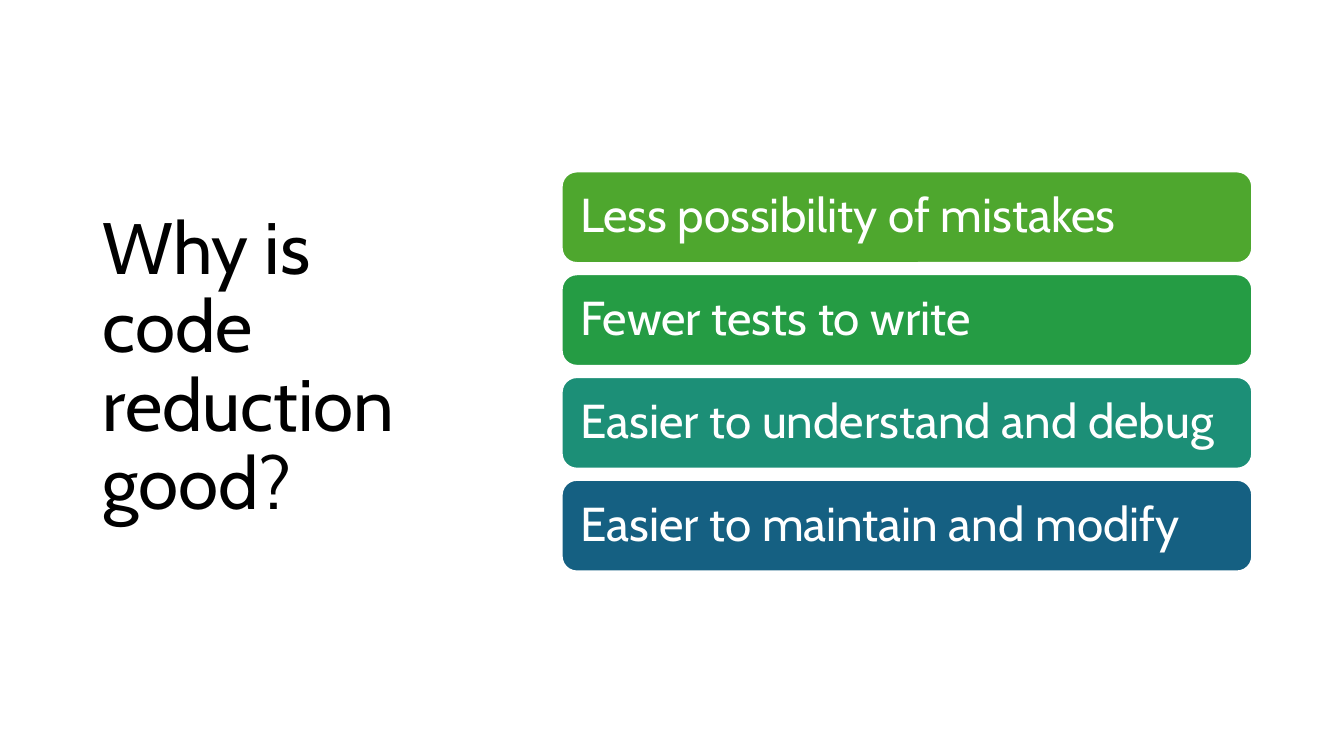
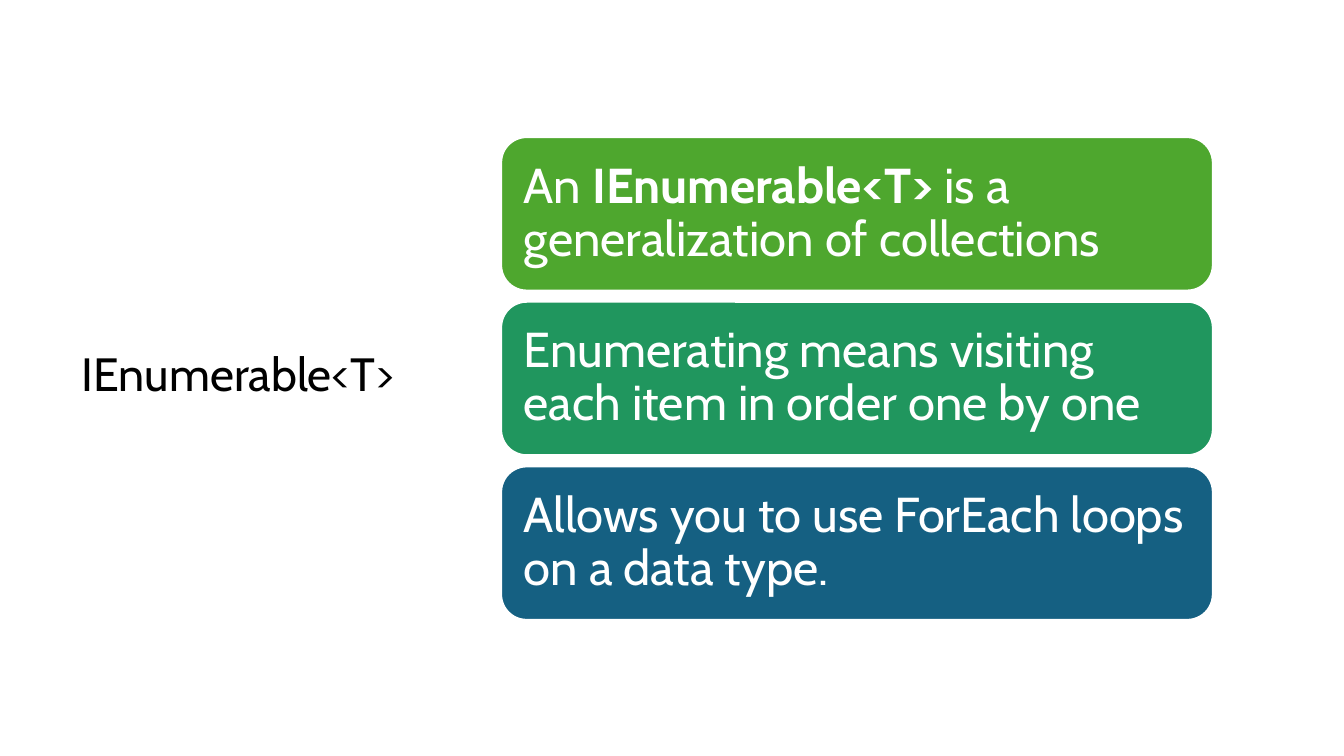
from dataclasses import dataclass

from pptx import Presentation
from pptx.dml.color import RGBColor
from pptx.enum.shapes import MSO_SHAPE
from pptx.enum.text import MSO_ANCHOR, PP_ALIGN
from pptx.util import Inches, Pt

ROUNDED = MSO_SHAPE.ROUNDED_RECTANGLE
MIDDLE = MSO_ANCHOR.MIDDLE
LEFT = PP_ALIGN.LEFT


@dataclass(frozen=True)
class Theme:
    """Colours, type and spacing shared by the slides."""

    font: str = "Cabin"
    title_color: str = "000000"
    on_bar: str = "FFFFFF"
    green: str = "4EA72E"
    leaf: str = "259C44"
    emerald: str = "20965E"
    teal: str = "1C8F77"
    blue: str = "156082"
    title_size: float = 52
    small_title_size: float = 33.3
    bar_size: float = 34
    large_bar_size: float = 35
    title_inset: float = 0.1
    bar_gap: float = 0.11
    outline: float = 1.5
    line_spacing: float = 0.9


THEME = Theme()


def write_text(frame, runs, *, size, color, inset):
    """Fill a frame with one paragraph of (text, bold) runs."""
    frame.word_wrap = True
    frame.vertical_anchor = MIDDLE
    frame.margin_left = frame.margin_right = Inches(inset)
    frame.margin_top = frame.margin_bottom = Inches(inset)
    paragraph = frame.paragraphs[0]
    paragraph.alignment = LEFT
    paragraph.line_spacing = THEME.line_spacing
    for text, bold in runs:
        run = paragraph.add_run()
        run.text = text
        run.font.name = THEME.font
        run.font.size = Pt(size)
        run.font.bold = bold
        run.font.color.rgb = RGBColor.from_string(color)


def add_title(slide, box, title, size):
    """Place the title, centred vertically in its box."""
    heading = slide.shapes.add_textbox(*map(Inches, box))
    write_text(heading.text_frame, [(title, False)], size=size,
               color=THEME.title_color, inset=THEME.title_inset)


def add_bar(slide, box, runs, fill, size, inset):
    """Draw one rounded bar with its statement."""
    bar = slide.shapes.add_shape(ROUNDED, *map(Inches, box))
    bar.shadow.inherit = False
    bar.fill.solid()
    bar.fill.fore_color.rgb = RGBColor.from_string(fill)
    bar.line.color.rgb = RGBColor.from_string(THEME.on_bar)
    bar.line.width = Pt(THEME.outline)
    write_text(bar.text_frame, runs, size=size, color=THEME.on_bar, inset=inset)


def add_bar_stack(slide, box, statements, size, inset):
    """Divide the box into equal bars, one for each (runs, fill) statement."""
    left, top, width, height = box
    count = len(statements)
    bar_height = (height - THEME.bar_gap * (count - 1)) / count
    for index, (runs, fill) in enumerate(statements):
        bar_top = top + index * (bar_height + THEME.bar_gap)
        add_bar(slide, (left, bar_top, width, bar_height), runs, fill, size, inset)


def add_code_reduction_slide(prs):
    """Build the slide on the benefits of code reduction."""
    slide = prs.slides.add_slide(prs.slide_layouts[6])
    add_title(slide, (0.92, 0.61, 3.69, 6.09),
              "Why is code reduction good?", THEME.title_size)
    benefits = [
        ([("Less possibility of mistakes", False)], THEME.green),
        ([("Fewer tests to write", False)], THEME.leaf),
        ([("Easier to understand and debug", False)], THEME.teal),
        ([("Easier to maintain and modify", False)], THEME.blue),
    ]
    add_bar_stack(slide, (5.57, 1.7, 6.85, 3.97), benefits, THEME.bar_size, 0.14)


def add_enumerable_slide(prs):
    """Build the slide that explains IEnumerable<T>."""
    slide = prs.slides.add_slide(prs.slide_layouts[6])
    add_title(slide, (0.71, 0.67, 3.68, 6.13),
              "IEnumerable<T>", THEME.small_title_size)
    facts = [
        ([("An ", False), ("IEnumerable<T>", True),
          (" is a generalization of collections", False)], THEME.green),
        ([("Enumerating means visiting each item in order one by one", False)],
         THEME.emerald),
        ([("Allows you to use ForEach loops on a data type.", False)], THEME.blue),
    ]
    add_bar_stack(slide, (4.97, 1.36, 7.06, 4.79), facts, THEME.large_bar_size, 0.15)


def main():
    """Build and save the presentation."""
    prs = Presentation()
    prs.slide_width = Inches(13.33)
    prs.slide_height = Inches(7.5)
    add_code_reduction_slide(prs)
    add_enumerable_slide(prs)
    prs.save("out.pptx")


if __name__ == "__main__":
    main()
